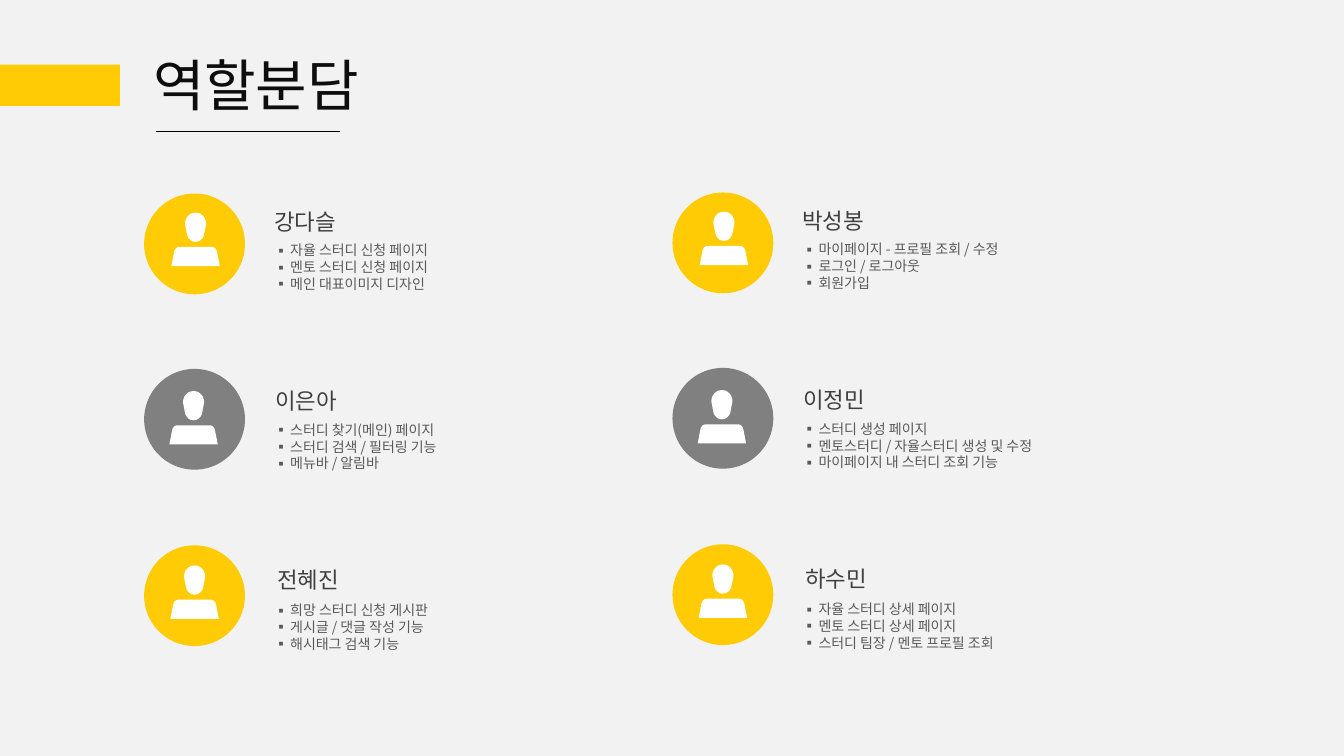
import pptx
import pptx.dml.color
import pptx.enum.shapes
import pptx.enum.text
import pptx.oxml
import pptx.oxml.ns
import pptx.util
import lxml.etree

Inches = pptx.util.Inches
Pt = pptx.util.Pt
qn = pptx.oxml.ns.qn
SHAPE = pptx.enum.shapes.MSO_SHAPE
FONT = "Noto Sans CJK KR"
GOLD = "FFCB05"
GRAY = "808080"


def paint(fill, color):
    fill.solid()
    fill.fore_color.rgb = pptx.dml.color.RGBColor.from_string(color)


def write(box, lines, size, color, wrap=True, bullet=False):
    frame = box.text_frame
    frame.word_wrap = wrap
    frame.auto_size = pptx.enum.text.MSO_AUTO_SIZE.SHAPE_TO_FIT_TEXT
    for i, line in enumerate(lines):
        para = frame.paragraphs[0] if i == 0 else frame.add_paragraph()
        run = para.add_run()
        run.text = line
        run.font.size = Pt(size)
        paint(run.font.fill, color)
        run.font.name = FONT
        lxml.etree.SubElement(run.font._element, qn("a:ea"), typeface=FONT)
        if bullet:
            para.alignment = pptx.enum.text.PP_ALIGN.JUSTIFY
            props = para._p.get_or_add_pPr()
            props.set("marL", str(Inches(0.16)))
            props.set("indent", str(Inches(-0.16)))
            tint = lxml.etree.SubElement(props, qn("a:buClr"))
            lxml.etree.SubElement(tint, qn("a:srgbClr"), val=color)
            lxml.etree.SubElement(props, qn("a:buFont"), typeface=FONT)
            lxml.etree.SubElement(props, qn("a:buChar"), char="▪")


deck = pptx.Presentation()
deck.slide_width = Inches(13.33)
deck.slide_height = Inches(7.5)
slide = deck.slides.add_slide(deck.slide_layouts[6])
paint(slide.background.fill, "F2F2F2")
shapes = slide.shapes

bar = shapes.add_shape(SHAPE.RECTANGLE, 0, Inches(0.64), Inches(1.19), Inches(0.41))
bar.shadow.inherit = False
paint(bar.fill, GOLD)
bar.line.fill.background()

title = shapes.add_textbox(Inches(1.42), Inches(0.45), Inches(3.62), Inches(0.76))
write(title, ["역할분담"], 40, "0D0D0D")

rule = shapes.add_connector(
    pptx.enum.shapes.MSO_CONNECTOR.STRAIGHT,
    Inches(1.55), Inches(1.3), Inches(3.37), Inches(1.3))
paint(rule.line.fill, "000000")
rule.line.width = Pt(0.5)
lxml.etree.SubElement(rule._element.spPr, qn("a:effectLst"))

# Half outlines in thousandths of an inch, measured from the icon's axis.
body = [(165, 340), (180, 344), (195, 354), (206, 370), (213, 390), (240, 530)]
head = [(0, 0), (30, 4), (52, 14), (72, 30), (90, 53), (101, 80), (105, 110),
        (101, 135), (82, 230), (70, 252), (50, 273), (28, 286), (0, 290)]
parts = [half + [(-x, y) for x, y in reversed(half)] for half in (body, head)]

# Each row: colour, circle top, icon place, name place, list top.
rows = [
    (GOLD, 1.92, 1.94, 2.11, 2.62, 2.02, 2.35),
    (GRAY, 3.66, 1.92, 3.88, 2.63, 3.79, 4.13),
    (GOLD, 5.41, 1.93, 5.61, 2.65, 5.57, 5.92),
]
sides = [
    (0, 0, [
        ("강다슬", ["자율 스터디 신청 페이지", "멘토 스터디 신청 페이지", "메인 대표이미지 디자인"]),
        ("이은아", ["스터디 찾기(메인) 페이지", "스터디 검색 / 필터링 기능", "메뉴바 / 알림바"]),
        ("전혜진", ["희망 스터디 신청 게시판", "게시글 / 댓글 작성 기능", "해시태그 검색 기능"]),
    ]),
    (5.24, -0.01, [
        ("박성봉", ["마이페이지 - 프로필 조회 / 수정", "로그인 / 로그아웃", "회원가입"]),
        ("이정민", ["스터디 생성 페이지", "멘토스터디 / 자율스터디 생성 및 수정",
                 "마이페이지 내 스터디 조회 기능"]),
        ("하수민", ["자율 스터디 상세 페이지", "멘토 스터디 상세 페이지",
                 "스터디 팀장 / 멘토 프로필 조회"]),
    ]),
]

for dx, dy, team in sides:
    for row, (name, tasks) in zip(rows, team):
        color, disc_y, icon_x, icon_y, name_x, name_y, list_y = row
        disc = shapes.add_shape(
            SHAPE.OVAL, Inches(1.43 + dx), Inches(disc_y + dy), Inches(1), Inches(1))

        pen = shapes.build_freeform(*parts[0][0], scale=Inches(1) / 1000)
        pen.add_line_segments(parts[0][1:])
        pen.move_to(*parts[1][0])
        pen.add_line_segments(parts[1][1:])
        icon = pen.convert_to_shape(Inches(icon_x + dx), Inches(icon_y + dy))

        for shape, tone in ((disc, color), (icon, "FFFFFF")):
            shape.shadow.inherit = False
            paint(shape.fill, tone)
            shape.line.fill.background()

        label = shapes.add_textbox(
            Inches(name_x + dx), Inches(name_y + dy), Inches(0.82), Inches(0.37))
        write(label, [name], 16, "404040", wrap=False)
        duties = shapes.add_textbox(
            Inches(2.62 + dx), Inches(list_y + dy), Inches(2.82), Inches(0.6))
        write(duties, tasks, 10, "595959", bullet=True)

deck.save("out.pptx")
